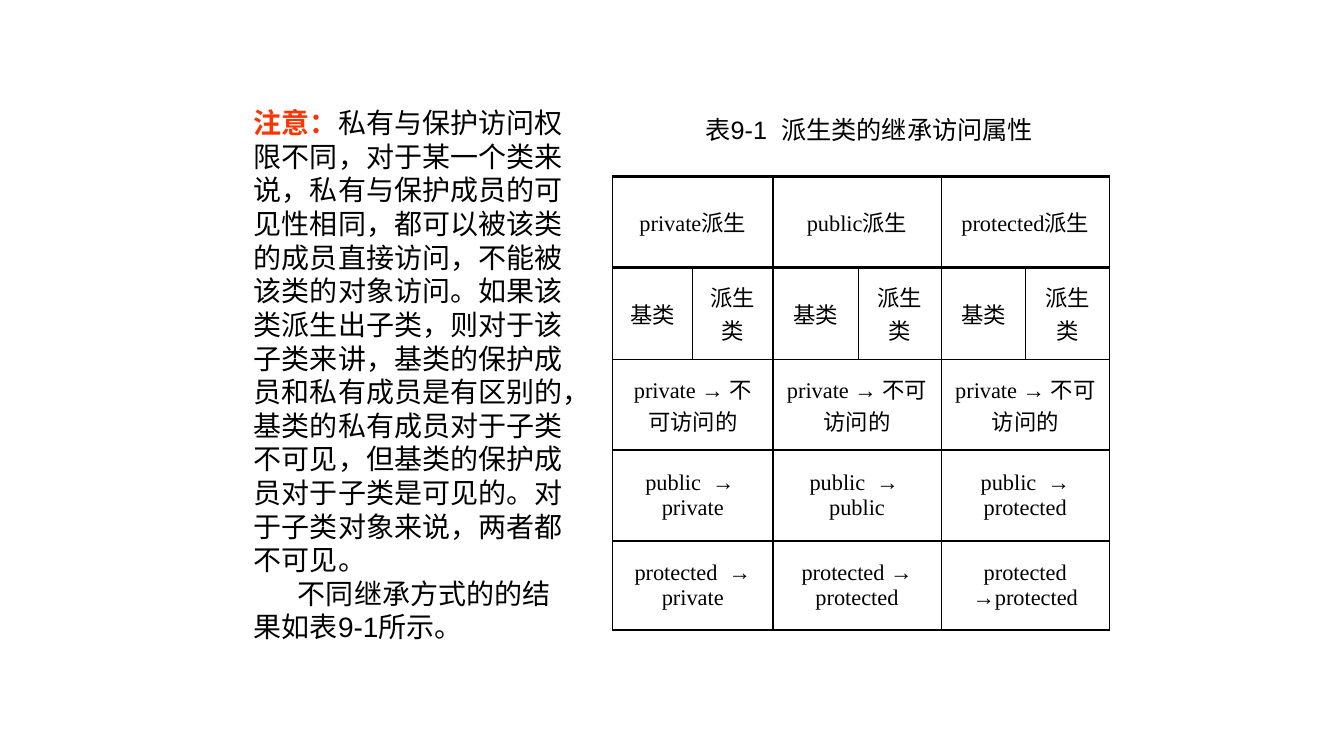
from lxml import etree
from pptx import Presentation
from pptx.dml.color import RGBColor
from pptx.enum import text
from pptx.oxml import ns
from pptx.util import Cm, Pt

LEAD = "注意："
NOTE = ("私有与保护访问权限不同，对于某一个类来说，私有与保护成员的可见性相同，"
        "都可以被该类的成员直接访问，不能被该类的对象访问。如果该类派生出子类，"
        "则对于该子类来讲，基类的保护成员和私有成员是有区别的，"
        "基类的私有成员对于子类不可见，但基类的保护成员对于子类是可见的。"
        "对于子类对象来说，两者都不可见。")
CLOSE = "不同继承方式的的结果如表9-1所示。"
TITLE = "表9-1  派生类的继承访问属性"

# A row of three spans two columns per entry.
ROWS = [
    ["private派生", "public派生", "protected派生"],
    ["基类", "派生类"] * 3,
    ["private → 不可访问的"] * 3,
    ["public  →  private", "public  →  public", "public  → protected"],
    ["protected  → private", "protected → protected", "protected →protected"],
]
WIDTHS = [2.01, 2.03, 2.16, 2.08, 2.13, 2.11]
HEIGHTS = [2.29, 2.31, 2.29, 2.29, 2.24]
RULES = [2, 2, 1, 1, 1, 2]  # horizontal line widths, top to bottom

THEME = {
    "ink": RGBColor(0, 0, 0), "alert": RGBColor(0xFF, 0x33, 0x00),
    "sans": "Arial", "serif": "Times New Roman",
    "body": Pt(20), "title": Pt(18), "cell": Pt(16),
}


def style(font, face, size):
    font.name, font.size = THEME[face], THEME[size]
    font.color.rgb = THEME["ink"]


def add_box(slide, left, top, width, height):
    box = slide.shapes.add_textbox(Cm(left), Cm(top), Cm(width), Cm(height))
    box.text_frame.word_wrap = True
    return box.text_frame


def add_note(slide):
    frame = add_box(slide, 6.15, 2.54, 8.46, 13.79)
    first, last = frame.paragraphs[0], frame.add_paragraph()
    lead = first.add_run()
    lead.text = LEAD
    lead.font.bold = True
    lead.font.color.rgb = THEME["alert"]
    first.add_run().text = NOTE
    last.text = CLOSE
    last._p.get_or_add_pPr().set("indent", str(Cm(1.11)))
    for para in frame.paragraphs:
        style(para.font, "sans", "body")


def add_title(slide):
    frame = add_box(slide, 17.53, 2.74, 9.02, 1.02)
    frame.vertical_anchor = text.MSO_ANCHOR.MIDDLE
    para = frame.paragraphs[0]
    para.text = TITLE
    style(para.font, "sans", "title")


def edge(cell, widths):
    """Draw the left, right, top and bottom borders, widths in points."""
    props = cell._tc.get_or_add_tcPr()
    for spot, (side, width) in enumerate(zip("LRTB", widths)):
        line = etree.Element(ns.qn(f"a:ln{side}"), w=str(Pt(width)))
        fill = etree.SubElement(line, ns.qn("a:solidFill"))
        etree.SubElement(fill, ns.qn("a:srgbClr"), val=str(THEME["ink"]))
        props.insert(spot, line)


def add_grid(slide):
    count = len(WIDTHS)
    grid = slide.shapes.add_table(
        len(ROWS), count, Cm(15.44), Cm(4.45),
        Cm(sum(WIDTHS)), Cm(sum(HEIGHTS))).table
    for col, width in zip(grid.columns, WIDTHS):
        col.width = Cm(width)
    for row, height in zip(grid.rows, HEIGHTS):
        row.height = Cm(height)
    for r, words in enumerate(ROWS):
        span = count // len(words)
        for c in range(count):
            cell = grid.cell(r, c)
            cell.fill.background()
            start = c - c % span
            edge(cell, (0.75 if start == 0 else 1,
                        0.75 if start + span == count else 1,
                        RULES[r], RULES[r + 1]))
        for i, word in enumerate(words):
            cell = grid.cell(r, i * span)
            if span > 1:
                cell.merge(grid.cell(r, i * span + span - 1))
            cell.vertical_anchor = text.MSO_ANCHOR.MIDDLE
            para = cell.text_frame.paragraphs[0]
            para.text = word
            para.alignment = text.PP_ALIGN.CENTER
            style(para.font, "serif", "cell")
            para.font.bold = False


def main():
    deck = Presentation()
    deck.slide_width, deck.slide_height = Cm(33.87), Cm(19.05)
    slide = deck.slides.add_slide(deck.slide_layouts[6])
    add_grid(slide)
    add_note(slide)
    add_title(slide)
    deck.save("out.pptx")


if __name__ == "__main__":
    main()
